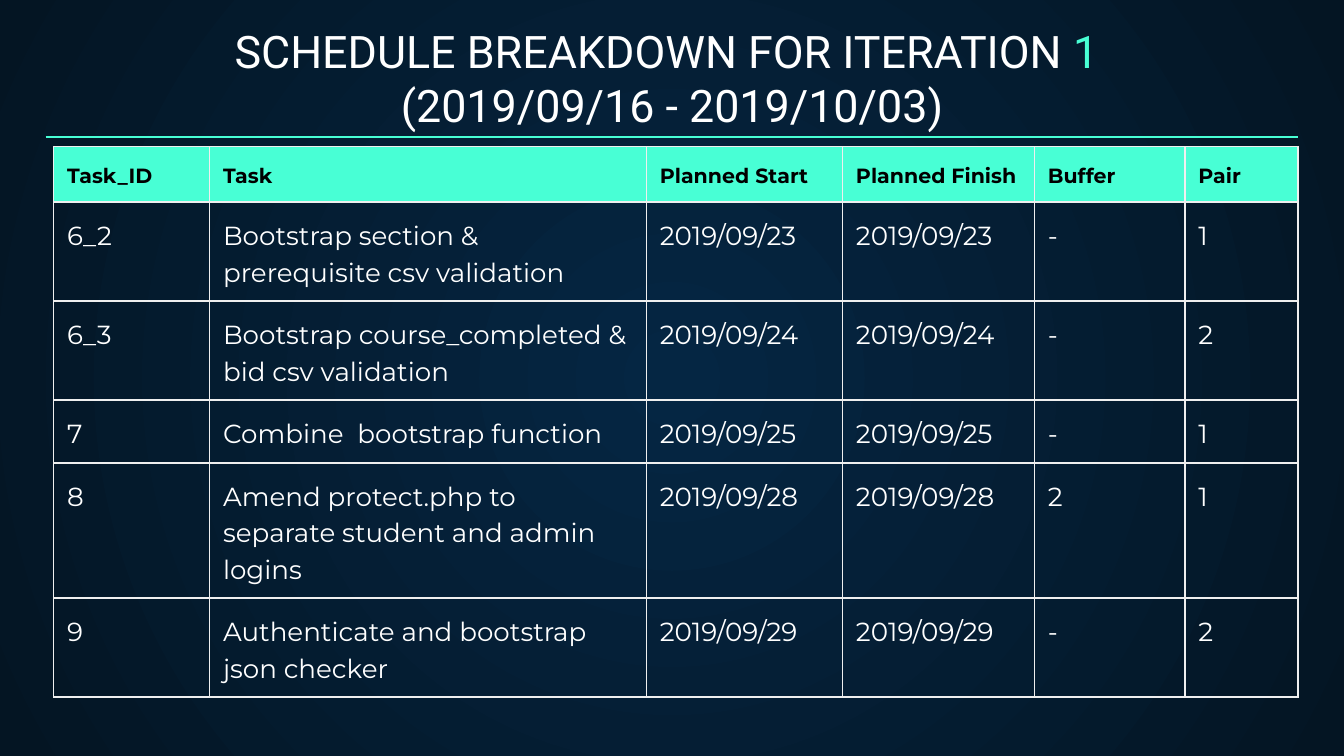
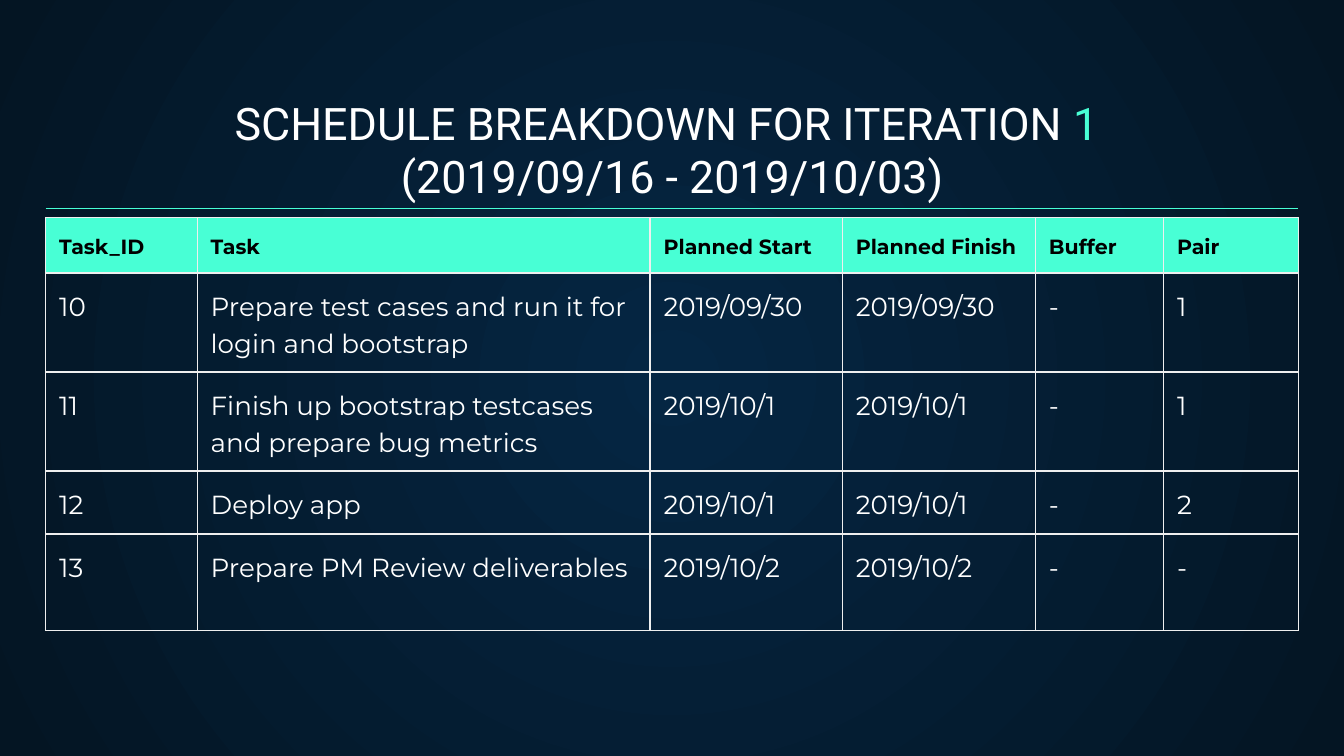
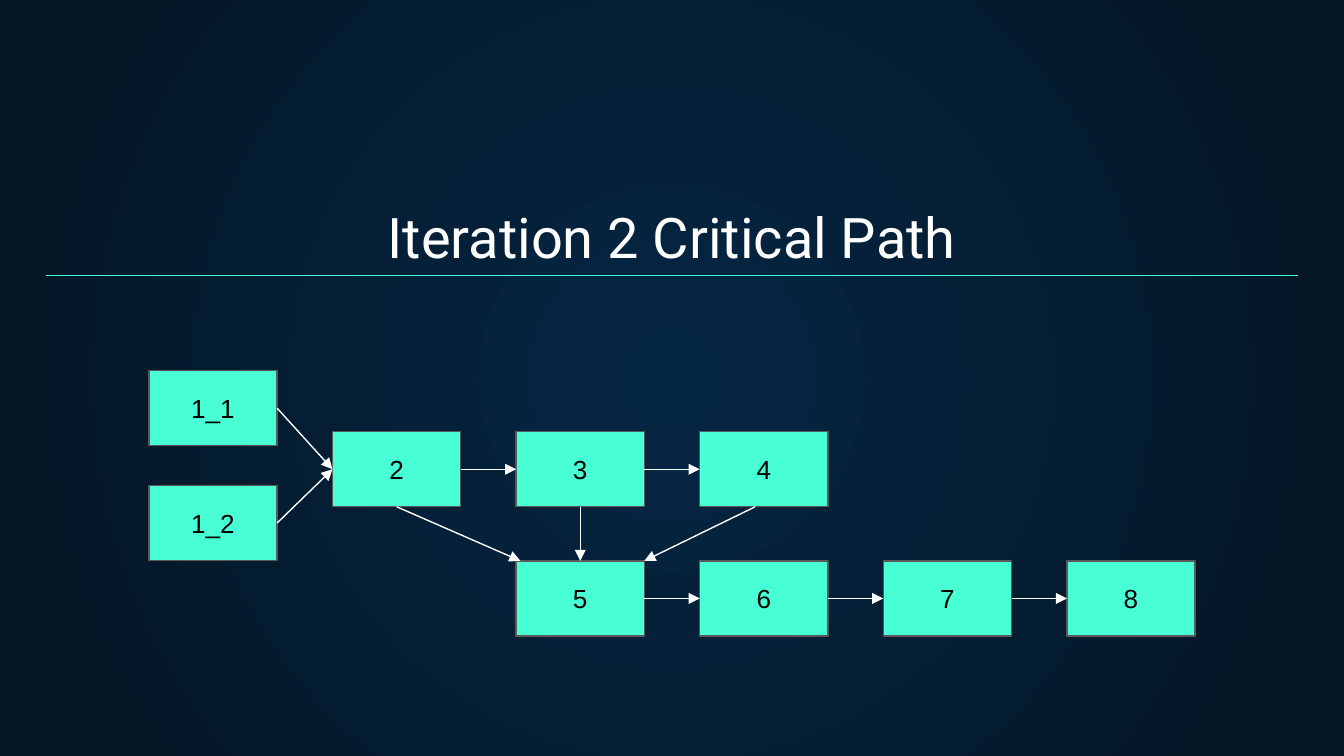
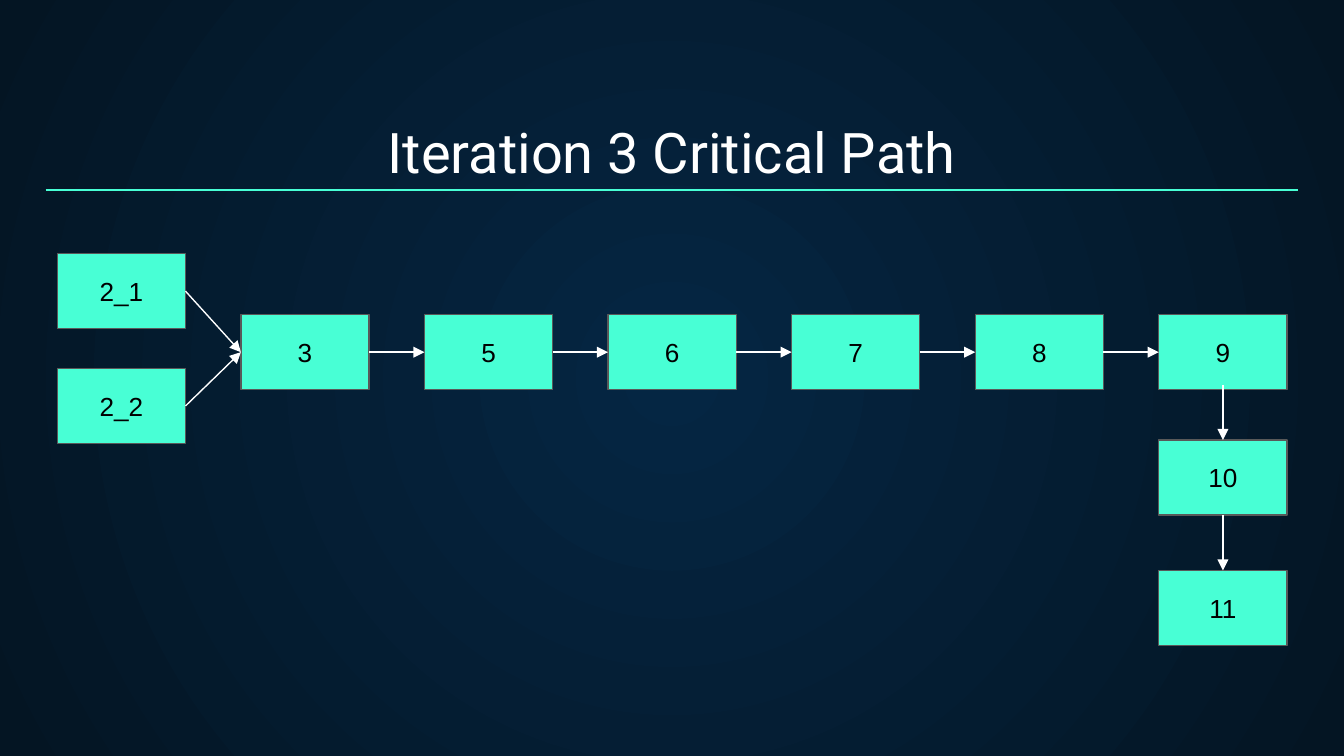
import pptx
import pptx.dml.color
import pptx.enum.shapes
import pptx.enum.text
import pptx.oxml
import pptx.oxml.ns
import pptx.util

Pt = pptx.util.Pt

WHITE = "FFFFFF"
BLACK = "000000"
MINT = "48FFD5"
BOX_EDGE = "595959"
CELL_EDGE = "EFEFEF"
GLOW = "052643"
NIGHT = "041523"

LEFT, RIGHT = 24.5, 695.5
INSET = 7.2
BOX_WIDTH, BOX_HEIGHT, BOX_PITCH = 68.7, 40.2, 98.35
TOP, LEFT_SIDE, BOTTOM, RIGHT_SIDE = range(4)

HEADINGS = ["Task_ID", "Task", "Planned Start", "Planned Finish", "Buffer", "Pair"]
BOOTSTRAP_TASKS = [
    ["6_2", "Bootstrap section & prerequisite csv validation", "2019/09/23", "2019/09/23", "-", "1"],
    ["6_3", "Bootstrap course_completed & bid csv validation", "2019/09/24", "2019/09/24", "-", "2"],
    ["7", "Combine  bootstrap function", "2019/09/25", "2019/09/25", "-", "1"],
    ["8", "Amend protect.php to separate student and admin logins", "2019/09/28", "2019/09/28", "2", "1"],
    ["9", "Authenticate and bootstrap json checker", "2019/09/29", "2019/09/29", "-", "2"],
]
RELEASE_TASKS = [
    ["10", "Prepare test cases and run it for login and bootstrap", "2019/09/30", "2019/09/30", "-", "1"],
    ["11", "Finish up bootstrap testcases and prepare bug metrics", "2019/10/1", "2019/10/1", "-", "1"],
    ["12", "Deploy app", "2019/10/1", "2019/10/1", "-", "2"],
    ["13", "Prepare PM Review deliverables", "2019/10/2", "2019/10/2", "-", "-"],
]


def set_color(color_format, value):
    color_format.rgb = pptx.dml.color.RGBColor.from_string(value)


def set_fill(fill, value):
    fill.solid()
    set_color(fill.fore_color, value)


def format_run(run, font_name, size, color, bold=False):
    run.font.name = font_name
    run.font.size = Pt(size)
    run.font.bold = bold
    set_color(run.font.color, color)


def set_insets(frame):
    frame.margin_left = frame.margin_right = Pt(INSET)
    frame.margin_top = frame.margin_bottom = Pt(INSET)


def make_xml(markup):
    namespace = pptx.oxml.ns.nsdecls("a")
    return pptx.oxml.parse_xml(markup.replace(">", f" {namespace}>", 1))


def add_slide(presentation):
    slide = presentation.slides.add_slide(presentation.slide_layouts[6])
    fill = slide.background.fill
    fill.gradient()
    for stop, color in zip(fill.gradient_stops, (GLOW, NIGHT)):
        set_color(stop.color, color)
    linear = slide.element.xpath(".//a:gradFill/a:lin")[0]
    linear.getparent().replace(linear, make_xml(
        '<a:path path="circle" >'
        '<a:fillToRect l="50000" t="50000" r="50000" b="50000"/></a:path>'))
    return slide


def add_line(slide, start, end, color):
    connector = slide.shapes.add_connector(
        pptx.enum.shapes.MSO_CONNECTOR.STRAIGHT, *map(Pt, start + end))
    connector.line.width = Pt(0.75)
    set_color(connector.line.color, color)
    connector.element.spPr.append(make_xml("<a:effectLst></a:effectLst>"))
    return connector


def add_title(slide, rule_y, size, text, accent="", second_line=""):
    title = slide.shapes.add_textbox(Pt(LEFT), Pt(rule_y - 43.2), Pt(RIGHT - LEFT), Pt(47.5))
    frame = title.text_frame
    frame.word_wrap = True
    frame.vertical_anchor = pptx.enum.text.MSO_ANCHOR.BOTTOM
    set_insets(frame)
    paragraph = frame.paragraphs[0]
    paragraph.text = text
    paragraph.alignment = pptx.enum.text.PP_ALIGN.CENTER
    if accent:
        paragraph.add_run().text = accent
        paragraph.add_line_break()
        paragraph.add_run().text = second_line
    for run, color in zip(paragraph.runs, (WHITE, MINT, WHITE)):
        format_run(run, "Roboto", size, color)
    add_line(slide, (LEFT, rule_y), (RIGHT, rule_y), MINT)


def add_schedule_title(slide, rule_y):
    add_title(slide, rule_y, 24, "SCHEDULE BREAKDOWN FOR ITERATION ", "1 ",
              "(2019/09/16 - 2019/10/03)")


def set_borders(cell):
    properties = cell._tc.get_or_add_tcPr()
    for index, side in enumerate("LRTB"):
        properties.insert(index, make_xml(
            f'<a:ln{side} w="{Pt(0.75)}"><a:solidFill><a:srgbClr val="{CELL_EDGE}"/>'
            f'</a:solidFill></a:ln{side}>'))


def fill_cell(cell, text, is_heading):
    cell.text_frame.text = text
    set_insets(cell)
    paragraph = cell.text_frame.paragraphs[0]
    paragraph.line_spacing = 1.15
    if is_heading:
        format_run(paragraph.runs[0], "Montserrat", 11, BLACK, True)
        set_fill(cell.fill, MINT)
    else:
        format_run(paragraph.runs[0], "Montserrat", 14, WHITE)
        cell.fill.background()
    set_borders(cell)


def add_schedule(slide, left, top, widths, heights, tasks):
    rows = [HEADINGS] + tasks
    table = slide.shapes.add_table(
        len(rows), len(widths), Pt(left), Pt(top), Pt(sum(widths)), Pt(sum(heights))).table
    table.first_row = table.horz_banding = False
    for column, width in zip(table.columns, widths):
        column.width = Pt(width)
    for row, height in zip(table.rows, heights):
        row.height = Pt(height)
    for row_index, row in enumerate(rows):
        for column_index, text in enumerate(row):
            fill_cell(table.cell(row_index, column_index), text, row_index == 0)


def add_box(slide, left, top, text):
    box = slide.shapes.add_shape(
        pptx.enum.shapes.MSO_SHAPE.RECTANGLE, Pt(left), Pt(top), Pt(BOX_WIDTH), Pt(BOX_HEIGHT))
    box.shadow.inherit = False
    set_fill(box.fill, MINT)
    set_color(box.line.color, BOX_EDGE)
    box.line.width = Pt(0.75)
    frame = box.text_frame
    frame.text = text
    frame.vertical_anchor = pptx.enum.text.MSO_ANCHOR.MIDDLE
    set_insets(frame)
    paragraph = frame.paragraphs[0]
    paragraph.alignment = pptx.enum.text.PP_ALIGN.CENTER
    format_run(paragraph.runs[0], "Arial", 14, BLACK)
    return box


def add_boxes(slide, left, places):
    return {text: add_box(slide, left + column * BOX_PITCH, top, text)
            for text, (column, top) in places.items()}


def add_arrow(slide, source=None, target=None, sides=(RIGHT_SIDE, LEFT_SIDE),
              start=(0, 0), end=(0, 0)):
    arrow = add_line(slide, start, end, WHITE)
    if source is not None:
        arrow.begin_connect(source, sides[0])
    if target is not None:
        arrow.end_connect(target, sides[1])
    arrow.line._get_or_add_ln().append(make_xml('<a:tailEnd type="triangle"></a:tailEnd>'))


def add_chain(slide, boxes, names, sides=(RIGHT_SIDE, LEFT_SIDE)):
    for source, target in zip(names, names[1:]):
        add_arrow(slide, boxes[source], boxes[target], sides)


def build_bootstrap_schedule(presentation):
    slide = add_slide(presentation)
    add_schedule_title(slide, 73.4)
    add_schedule(slide, 28.8, 78.6, [83.5, 234, 105.1, 102.8, 80.7, 60.6],
                 [28, 36.7, 32.4, 32.4, 51.8, 32.4], BOOTSTRAP_TASKS)


def build_release_schedule(presentation):
    slide = add_slide(presentation)
    add_schedule_title(slide, 111.6)
    add_schedule(slide, LEFT, 116.7, [81.2, 242.6, 103, 103.5, 68.6, 72.1],
                 [28, 36.7, 32.4, 32.4, 51.8], RELEASE_TASKS)


def build_second_iteration(presentation):
    slide = add_slide(presentation)
    add_title(slide, 147.6, 30, "Iteration 2 Critical Path")
    middle, bottom = 231.3, 300.5
    boxes = add_boxes(slide, 79.8, {
        "1_1": (0, 198.6), "1_2": (0, 260.1),
        "2": (1, middle), "3": (2, middle), "4": (3, middle),
        "5": (2, bottom), "6": (3, bottom), "7": (4, bottom), "8": (5, bottom)})
    add_chain(slide, boxes, ["1_1", "2", "3", "4"])
    add_chain(slide, boxes, ["1_2", "2"])
    add_chain(slide, boxes, ["5", "6", "7", "8"])
    add_chain(slide, boxes, ["3", "5"], (BOTTOM, TOP))
    add_arrow(slide, source=boxes["2"], sides=(BOTTOM, TOP), end=(278.8, bottom))
    add_arrow(slide, start=(404.6, middle + BOX_HEIGHT), end=(345.2, bottom))


def build_third_iteration(presentation):
    slide = add_slide(presentation)
    add_title(slide, 101.9, 30, "Iteration 3 Critical Path")
    middle = 168.6
    boxes = add_boxes(slide, 30.7, {
        "2_1": (0, 135.9), "2_2": (0, 197.4),
        "3": (1, middle), "5": (2, middle), "6": (3, middle),
        "7": (4, middle), "8": (5, middle), "9": (6, middle),
        "10": (6, 235.7), "11": (6, 305.6)})
    add_chain(slide, boxes, ["2_1", "3", "5", "6", "7", "8", "9"])
    add_chain(slide, boxes, ["2_2", "3"])
    add_arrow(slide, target=boxes["10"], sides=(BOTTOM, TOP), start=(655.15, 206.2))
    add_chain(slide, boxes, ["10", "11"], (BOTTOM, TOP))


def main():
    presentation = pptx.Presentation()
    presentation.slide_width = Pt(720)
    presentation.slide_height = Pt(405)
    build_bootstrap_schedule(presentation)
    build_release_schedule(presentation)
    build_second_iteration(presentation)
    build_third_iteration(presentation)
    presentation.save("out.pptx")


if __name__ == "__main__":
    main()
